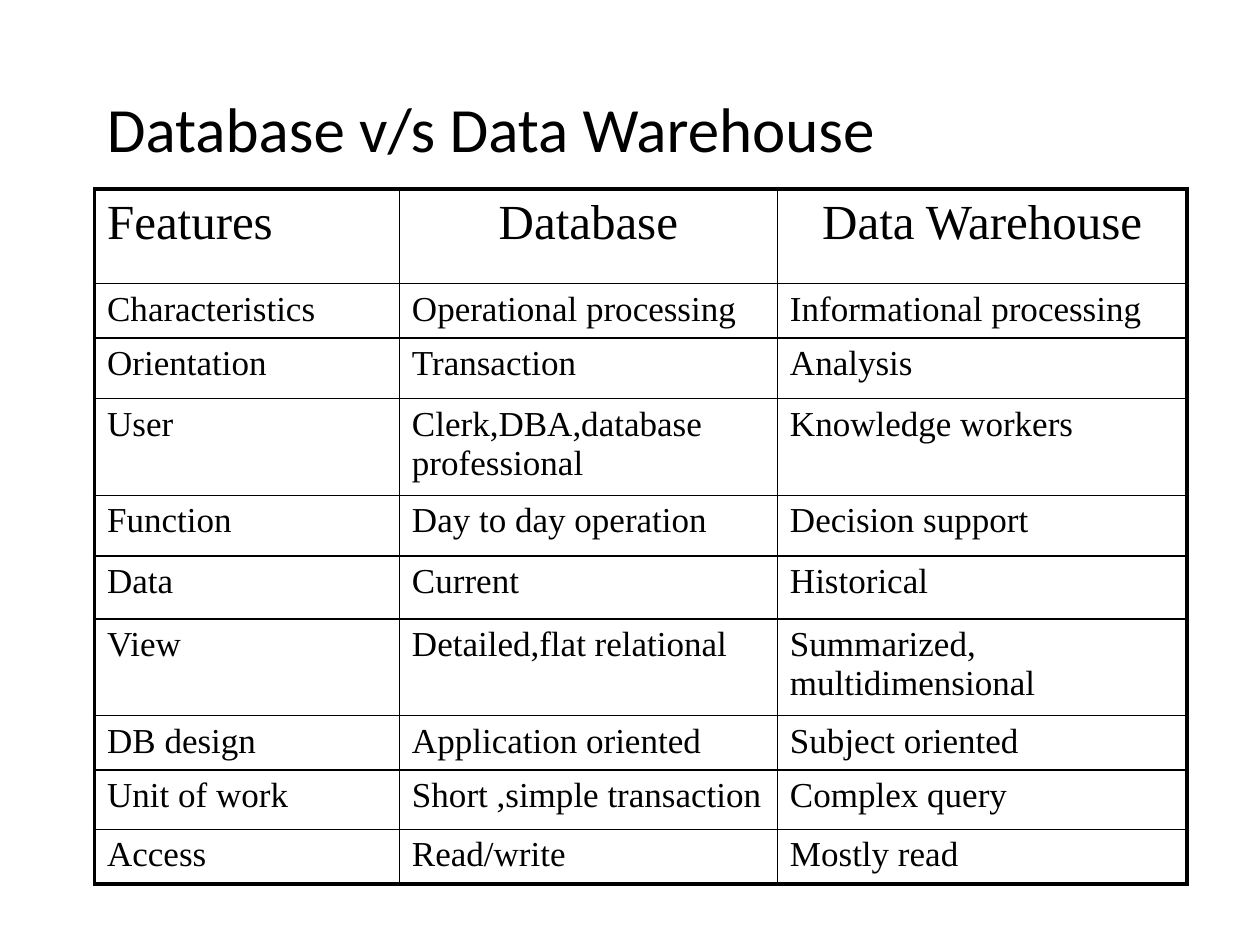
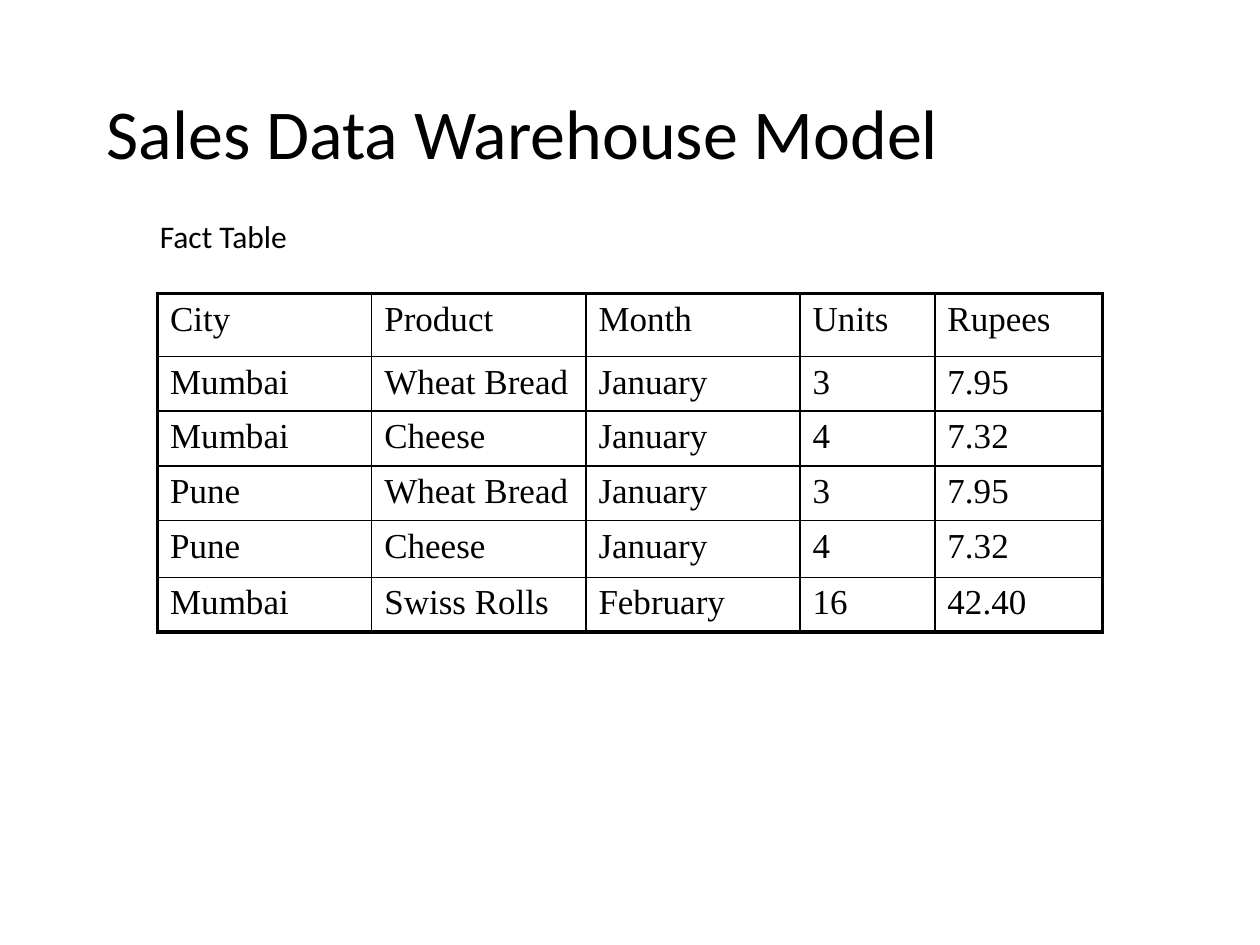
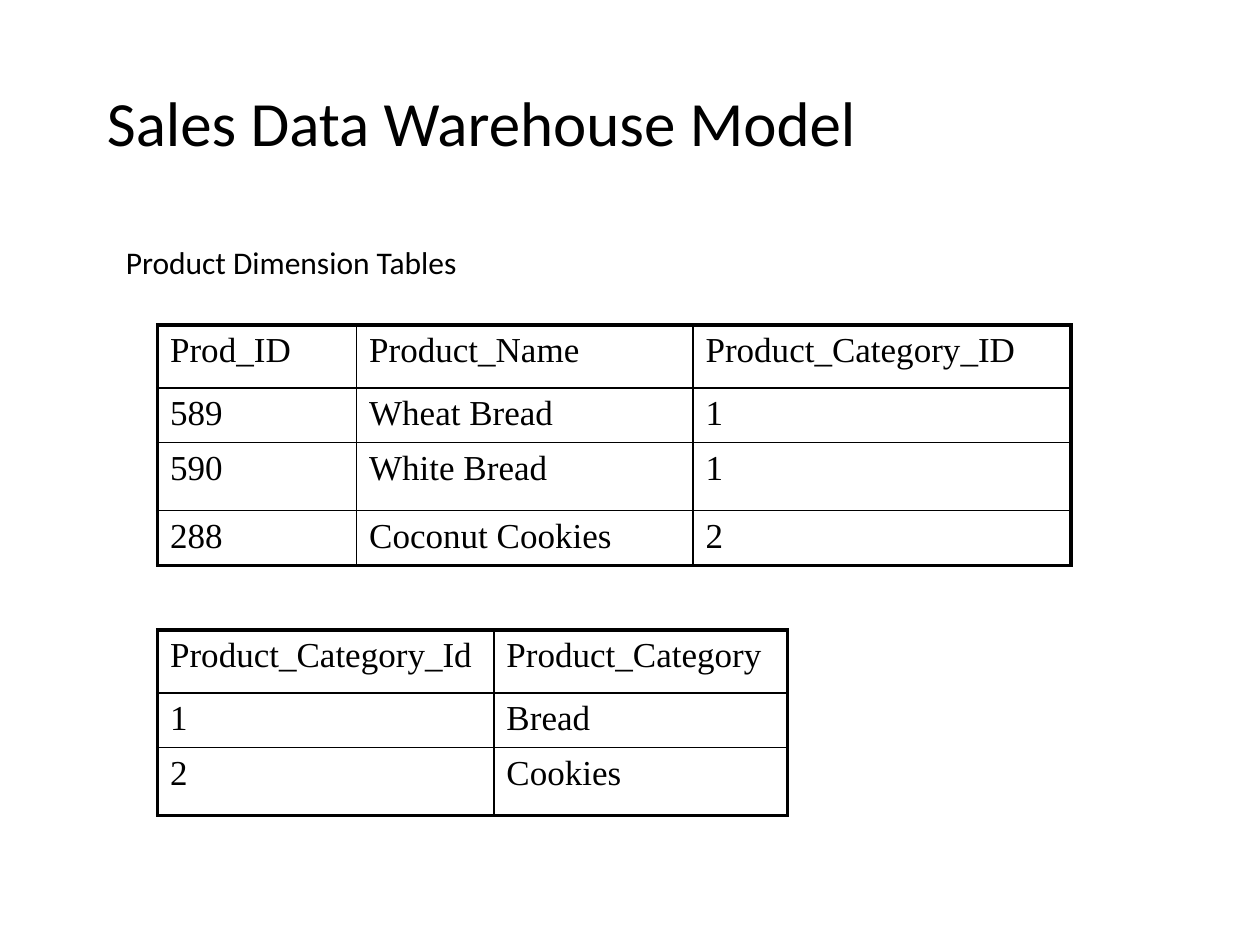
from dataclasses import dataclass

from lxml.etree import SubElement
from pptx import Presentation
from pptx.dml.color import RGBColor
from pptx.enum.text import MSO_ANCHOR, PP_ALIGN
from pptx.oxml.ns import qn
from pptx.util import Inches, Pt


@dataclass(frozen=True)
class Theme:
    ink: str = "000000"
    heading_font: str = "Calibri"
    table_font: str = "Times New Roman"
    title_size: int = 36
    large_title_size: int = 40
    label_size: int = 18
    table_size: int = 20
    large_header_size: int = 28
    outer_line: float = 2.25
    inner_line: float = 1


def write_text(frame, text, *, font, size, color, align=PP_ALIGN.LEFT,
               anchor=MSO_ANCHOR.TOP, line_spacing=None):
    frame.word_wrap = True
    frame.vertical_anchor = anchor
    paragraph = frame.paragraphs[0]
    paragraph.alignment = align
    paragraph.line_spacing = line_spacing
    run = paragraph.add_run()
    run.text = text
    run.font.name = font
    run.font.size = Pt(size)
    run.font.color.rgb = RGBColor.from_string(color)


def draw_border(cell, side, width, color):
    """Draw one cell edge; side is L, R, T or B, added in that order."""
    line = SubElement(cell._tc.get_or_add_tcPr(), qn(f"a:ln{side}"), w=str(Pt(width)))
    fill = SubElement(line, qn("a:solidFill"))
    SubElement(fill, qn("a:srgbClr"), val=color)


class Deck:
    def __init__(self, theme):
        self.theme = theme
        self.presentation = Presentation()
        self.presentation.slide_width = Inches(10)
        self.presentation.slide_height = Inches(7.5)
        self.slide = None

    def new_slide(self, title, title_height, title_size=None):
        blank = self.presentation.slide_layouts[6]
        self.slide = self.presentation.slides.add_slide(blank)
        self.text(title, 0.75, 0.67, 8.5, title_height,
                  size=title_size or self.theme.title_size,
                  anchor=MSO_ANCHOR.MIDDLE, line_spacing=0.9)

    def text(self, words, left, top, width, height, **style):
        box = self.slide.shapes.add_textbox(
            Inches(left), Inches(top), Inches(width), Inches(height))
        write_text(box.text_frame, words, font=self.theme.heading_font,
                   color=self.theme.ink, **style)

    def label(self, words, left, top, width):
        self.text(words, left, top, width, 0.5, size=self.theme.label_size)

    def table(self, records, left, top, widths, heights,
              header_size=None, header_align=PP_ALIGN.LEFT):
        """Ruled table with a heavy frame; header_align skips the first column."""
        theme = self.theme
        table = self.slide.shapes.add_table(
            len(records), len(widths), Inches(left), Inches(top),
            Inches(sum(widths)), Inches(sum(heights))).table
        table.first_row = table.horz_banding = False
        for column, width in zip(table.columns, widths):
            column.width = Inches(width)
        for row, height in zip(table.rows, heights):
            row.height = Inches(height)

        last_row, last_column = len(records) - 1, len(widths) - 1
        for r, record in enumerate(records):
            for c, value in enumerate(record):
                cell = table.cell(r, c)
                on_frame = {"L": c == 0, "R": c == last_column,
                            "T": r == 0, "B": r == last_row}
                for side, outer in on_frame.items():
                    width = theme.outer_line if outer else theme.inner_line
                    draw_border(cell, side, width, theme.ink)
                cell.fill.background()
                size = header_size if r == 0 and header_size else theme.table_size
                align = header_align if r == 0 and c > 0 else PP_ALIGN.LEFT
                write_text(cell.text_frame, value, font=theme.table_font,
                           size=size, color=theme.ink, align=align)


COMPARISON = [
    ("Features", "Database", "Data Warehouse"),
    ("Characteristics", "Operational processing", "Informational processing"),
    ("Orientation", "Transaction", "Analysis"),
    ("User", "Clerk,DBA,database professional", "Knowledge workers"),
    ("Function", "Day to day operation", "Decision support"),
    ("Data", "Current", "Historical"),
    ("View", "Detailed,flat relational", "Summarized, multidimensional"),
    ("DB design", "Application oriented", "Subject oriented"),
    ("Unit of work", "Short ,simple transaction", "Complex query"),
    ("Access", "Read/write", "Mostly read"),
]
SALES_FACTS = [
    ("City", "Product", "Month", "Units", "Rupees"),
    ("Mumbai", "Wheat Bread", "January", "3", "7.95"),
    ("Mumbai", "Cheese", "January", "4", "7.32"),
    ("Pune", "Wheat Bread", "January", "3", "7.95"),
    ("Pune", "Cheese", "January", "4", "7.32"),
    ("Mumbai", "Swiss Rolls", "February", "16", "42.40"),
]
PRODUCTS = [
    ("Prod_ID", "Product_Name", "Product_Category_ID"),
    ("589", "Wheat Bread", "1"),
    ("590", "White Bread", "1"),
    ("288", "Coconut Cookies", "2"),
]
CATEGORIES = [
    ("Product_Category_Id", "Product_Category"),
    ("1", "Bread"),
    ("2", "Cookies"),
]


def main():
    theme = Theme()
    deck = Deck(theme)

    deck.new_slide("Database v/s Data Warehouse", 0.75)
    deck.table(COMPARISON, 0.75, 1.5, [2.42, 3, 3.25],
               [0.75, 0.42, 0.48, 0.75, 0.48, 0.5, 0.75, 0.4, 0.47, 0.42],
               header_size=theme.large_header_size, header_align=PP_ALIGN.CENTER)

    model_title = "Sales Data Warehouse Model"
    deck.new_slide(model_title, 0.83, theme.large_title_size)
    deck.table(SALES_FACTS, 1.25, 2.33, [1.7, 1.7, 1.7, 1.07, 1.33],
               [0.5, 0.42, 0.4, 0.39, 0.45, 0.42])
    deck.label("Fact Table", 1.17, 1.67, 1.61)

    deck.new_slide(model_title, 0.67)
    deck.table(PRODUCTS, 1.25, 2.58, [1.58, 2.67, 3], [0.5, 0.35, 0.54, 0.39])
    deck.label("Product Dimension Tables", 0.9, 1.88, 3.75)
    deck.table(CATEGORIES, 1.25, 5, [2.67, 2.33], [0.5, 0.43, 0.54])

    deck.presentation.save("out.pptx")


if __name__ == "__main__":
    main()
